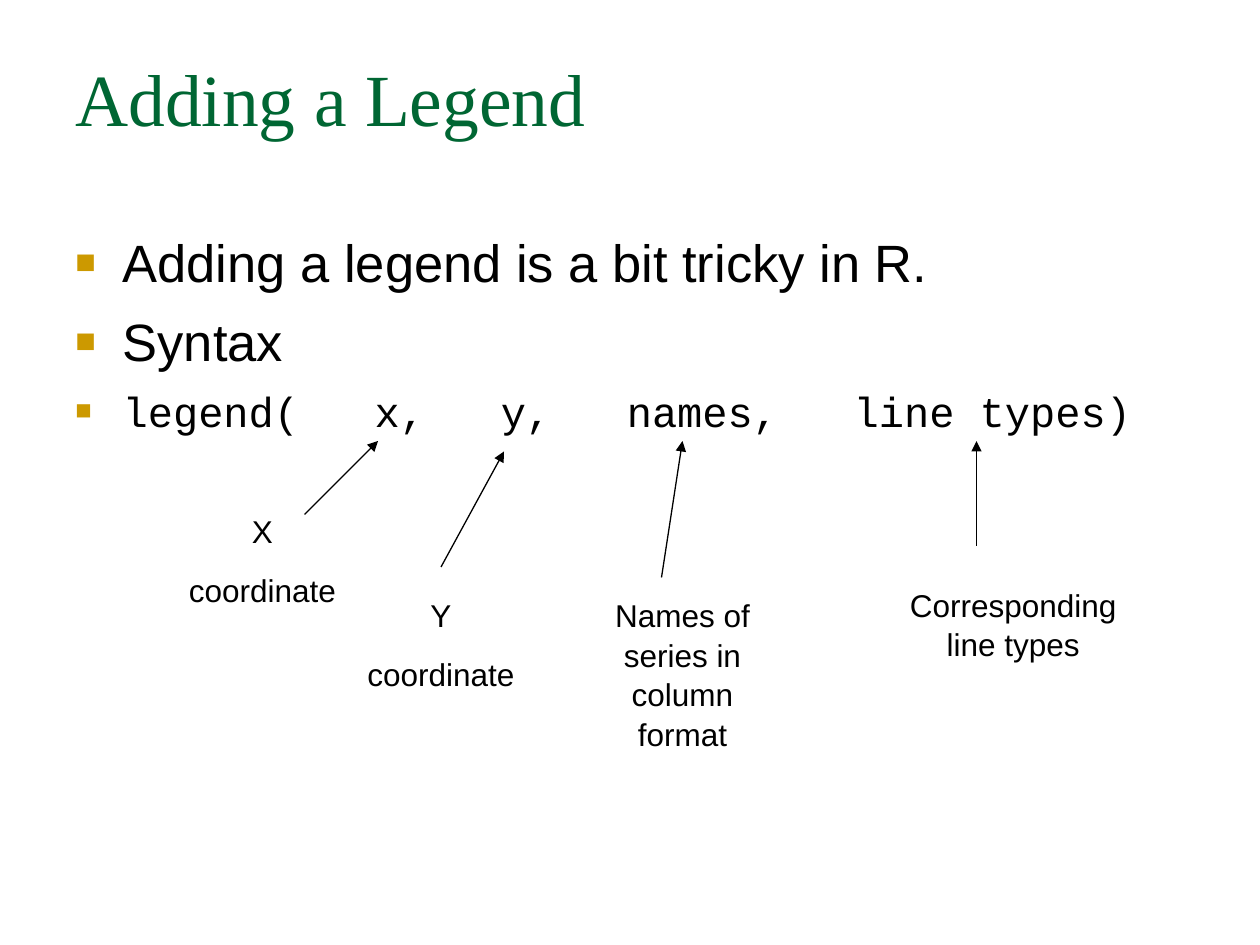
from lxml import etree
from pptx import Presentation
from pptx.dml.color import RGBColor
from pptx.enum import shapes, text
from pptx.oxml.ns import qn
from pptx.util import Pt

GREEN, GOLD, BLACK = "006633", "CC9900", "000000"
HANGING = 27

# label lines, label box, arrow start, arrow end
ARGUMENTS = [
    (["X", "coordinate"], (96, 288, 108, 62), (174, 294), (216, 252)),
    (["Y", "coordinate"], (198, 336, 108, 62), (252, 324), (288, 258)),
    (["Names of series in column format"], (336, 336, 108, 94), (378, 330), (390, 252)),
    (["Corresponding line types"], (510, 330, 138, 50.5), (558, 312), (558, 252)),
]


def color(hex_value):
    return RGBColor.from_string(hex_value)


def add_text(slide, box, paragraphs):
    """Fill a text box with (wording, font name, size, colour, paragraph format) rows."""
    frame = slide.shapes.add_textbox(*map(Pt, box)).text_frame
    frame.word_wrap = True
    for index, (wording, font, size, ink, layout) in enumerate(paragraphs):
        paragraph = frame.add_paragraph() if index else frame.paragraphs[0]
        for attribute, value in layout.items():
            setattr(paragraph, attribute, value)
        run = paragraph.add_run()
        run.text = wording
        for attribute, value in {"name": font, "size": Pt(size)}.items():
            setattr(run.font, attribute, value)
        run.font.color.rgb = color(ink)
    return frame


def add_bullet(paragraph):
    properties = paragraph._p.get_or_add_pPr()
    properties.set("marL", str(Pt(HANGING)))
    properties.set("indent", str(-Pt(HANGING)))
    bullet_color = etree.SubElement(properties, qn("a:buClr"))
    etree.SubElement(bullet_color, qn("a:srgbClr"), val=GOLD)
    etree.SubElement(properties, qn("a:buSzPct"), val="65000")
    etree.SubElement(properties, qn("a:buFont"), typeface="Arial")
    etree.SubElement(properties, qn("a:buChar"), char="■")


def add_title(slide, box):
    add_text(slide, box, [("Adding a Legend", "Times New Roman", 42, GREEN,
                           {"line_spacing": 1.1})])


def add_body(slide, box):
    rows = [
        ("Adding a legend is a bit tricky in R.", "Arial", 30, 7.5),
        ("Syntax", "Arial", 30, 7.5),
        ("legend(   x,   y,   names,   line types)", "Courier New", 24, 6),
    ]
    frame = add_text(slide, box, [
        (wording, font, size, BLACK, {"space_before": Pt(gap), "line_spacing": 1.05})
        for wording, font, size, gap in rows])
    for paragraph in frame.paragraphs:
        add_bullet(paragraph)


def add_arrow(slide, start, end):
    arrow = slide.shapes.add_connector(
        shapes.MSO_CONNECTOR.STRAIGHT, *map(Pt, start + end))
    arrow.line.width = Pt(0.75)
    arrow.line.color.rgb = color(BLACK)
    etree.SubElement(arrow.line._get_or_add_ln(), qn("a:tailEnd"), type="triangle")
    etree.SubElement(arrow._element.spPr, qn("a:effectLst"))


def add_argument(slide, lines, box, start, end):
    """Explain one argument of the call: a centred label and its arrow."""
    layout = {"alignment": text.PP_ALIGN.CENTER, "space_before": Pt(11.2),
              "line_spacing": 1.05}
    add_text(slide, box, [(line, "Arial", 18, BLACK, layout) for line in lines])
    add_arrow(slide, start, end)


def main():
    deck = Presentation()
    deck.slide_width, deck.slide_height = Pt(720), Pt(540)
    slide = deck.slides.add_slide(deck.slide_layouts[6])
    add_title(slide, (36, 21.6, 648, 90))
    add_body(slide, (36, 126, 648, 356.4))
    for argument in ARGUMENTS:
        add_argument(slide, *argument)
    deck.save("out.pptx")


if __name__ == "__main__":
    main()
